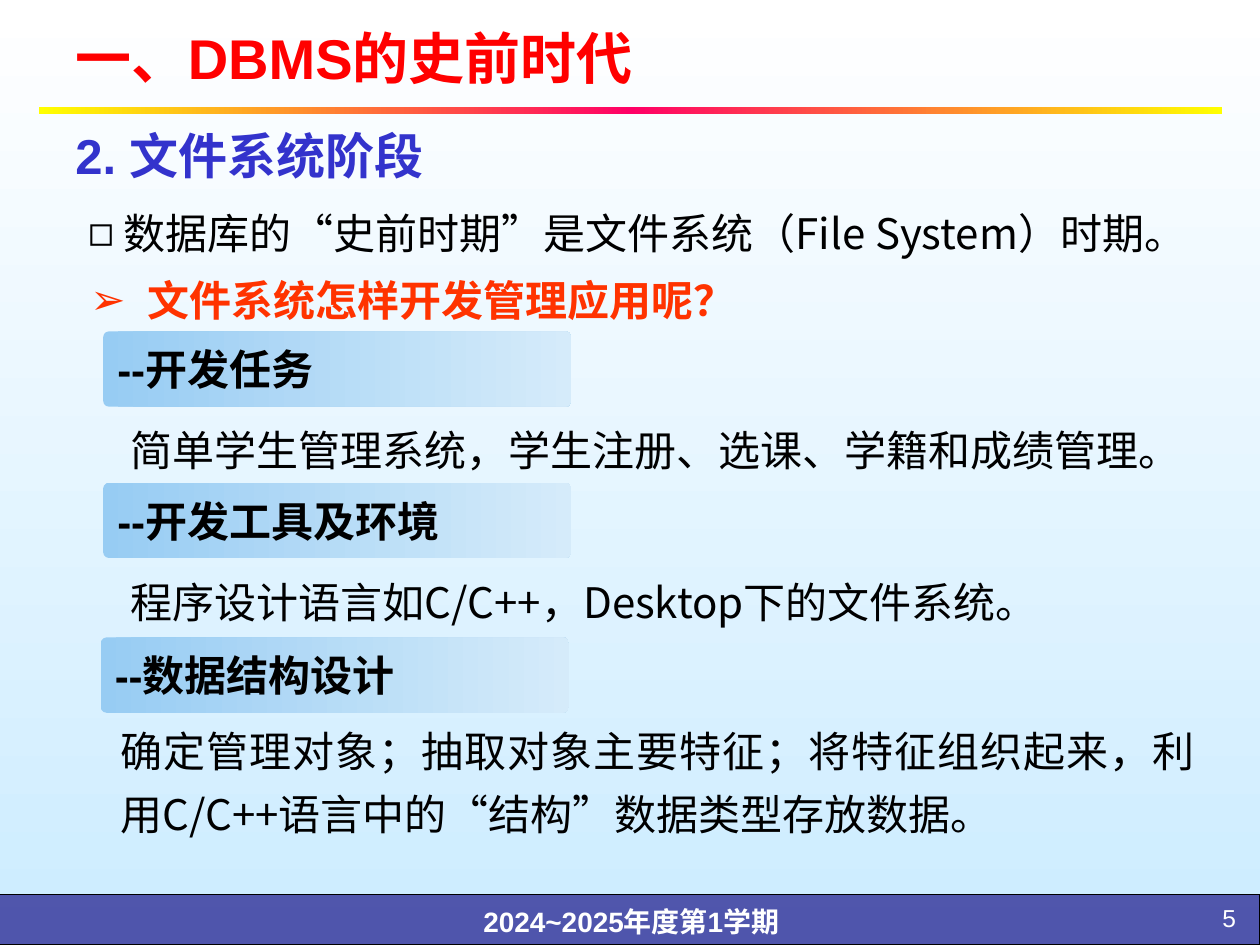
from copy import deepcopy

from lxml.etree import SubElement
from pptx import Presentation
from pptx.dml.color import RGBColor
from pptx.enum.shapes import MSO_SHAPE
from pptx.enum.text import MSO_ANCHOR, MSO_AUTO_SIZE, PP_ALIGN
from pptx.oxml.ns import qn
from pptx.util import Cm, Pt

BLACK = RGBColor(0x00, 0x00, 0x00)
WHITE = RGBColor(0xFF, 0xFF, 0xFF)
RED = RGBColor(0xFF, 0x00, 0x00)
ORANGE = RGBColor(0xFF, 0x33, 0x00)
BLUE = RGBColor(0x33, 0x33, 0xCC)
NAVY = RGBColor(0x33, 0x33, 0x99)
PALE_BLUE = RGBColor(0xCC, 0xEC, 0xFF)
LABEL_BLUE = RGBColor(0x97, 0xCC, 0xF3)
LABEL_PALE = RGBColor(0xD5, 0xEB, 0xFA)
YELLOW = RGBColor(0xFF, 0xFF, 0x00)
PINK = RGBColor(0xFF, 0x00, 0x66)

LATIN = "Arial"
CJK = "Noto Sans CJK SC"


def apply_gradient(fill, colors, angle=0):
    """Spread the colours evenly; the angle runs counter-clockwise."""
    fill.gradient()
    fill.gradient_angle = angle
    stop_list = fill._fill._gradFill.find(qn("a:gsLst"))
    for _ in colors[2:]:
        stop_list.append(deepcopy(stop_list[0]))
    for index, (stop, color) in enumerate(zip(fill.gradient_stops, colors)):
        stop.position = index / (len(colors) - 1)
        stop.color.rgb = color


class SlideBuilder:
    def __init__(self, slide):
        self.slide = slide
        self.shapes = slide.shapes

    def place(self, shape, left, top, width, height):
        shape.left, shape.top = Cm(left), Cm(top)
        shape.width, shape.height = Cm(width), Cm(height)

    def frame(self, shape, anchor):
        frame = shape.text_frame
        frame.word_wrap = True
        frame.auto_size = MSO_AUTO_SIZE.NONE
        frame.vertical_anchor = anchor
        return frame

    def styled_run(self, paragraph, text, size, color, font=LATIN, bold=False,
                   align=PP_ALIGN.LEFT, spacing=1.0):
        paragraph.alignment = align
        paragraph.line_spacing = spacing
        paragraph.space_before = Pt(0)
        run = paragraph.add_run()
        run.text = text
        run.font.size = Pt(size)
        run.font.bold = bold
        run.font.color.rgb = color
        run.font.name = font
        SubElement(run._r.get_or_add_rPr(), qn("a:ea"), typeface=CJK)

    def text(self, box, text, size, color, anchor=MSO_ANCHOR.TOP, **style):
        shape = self.shapes.add_textbox(*map(Cm, box))
        frame = self.frame(shape, anchor)
        self.styled_run(frame.paragraphs[0], text, size, color, **style)

    def title(self, box, text, size, color):
        title = self.shapes.title
        self.place(title, *box)
        frame = self.frame(title, MSO_ANCHOR.MIDDLE)
        self.styled_run(frame.paragraphs[0], text, size, color, bold=True)

    def bullets(self, box, items):
        """Each item is text, bullet, margin, hanging indent, colour and bold."""
        body = self.slide.placeholders[1]
        self.place(body, *box)
        frame = self.frame(body, MSO_ANCHOR.TOP)
        for index, (text, mark, margin, hanging, color, bold) in enumerate(items):
            paragraph = frame.add_paragraph() if index else frame.paragraphs[0]
            properties = paragraph._p.get_or_add_pPr()
            properties.set("marL", str(Cm(margin)))
            properties.set("indent", str(-Cm(hanging)))
            SubElement(properties, qn("a:buChar"), char=mark)
            self.styled_run(paragraph, text, 24, color, CJK, bold,
                            PP_ALIGN.JUSTIFY, 1.25)
            if index:
                paragraph.space_before = Pt(2)

    def panel(self, box, kind=MSO_SHAPE.RECTANGLE):
        shape = self.shapes.add_shape(kind, *map(Cm, box))
        shape.shadow.inherit = False
        shape.line.fill.background()
        return shape

    def gradient_rule(self, box, colors):
        apply_gradient(self.panel(box).fill, colors)

    def footer_bar(self, box):
        bar = self.panel(box)
        bar.fill.solid()
        bar.fill.fore_color.rgb = NAVY
        color = bar._element.spPr.find(qn("a:solidFill"))[0]
        SubElement(color, qn("a:alpha"), val="81000")
        bar.line.color.rgb = BLACK
        bar.line.width = Pt(0.75)

    def label(self, box, text):
        label = self.panel(box, MSO_SHAPE.ROUNDED_RECTANGLE)
        label.adjustments[0] = 0.08
        apply_gradient(label.fill, [LABEL_BLUE, LABEL_PALE])
        frame = self.frame(label, MSO_ANCHOR.MIDDLE)
        self.styled_run(frame.paragraphs[0], text, 24, BLACK, bold=True)


def main():
    deck = Presentation()
    deck.slide_width, deck.slide_height = Cm(25.4), Cm(19.05)
    slide = deck.slides.add_slide(deck.slide_layouts[1])
    apply_gradient(slide.background.fill, [WHITE, PALE_BLUE], 270)
    page = SlideBuilder(slide)

    page.footer_bar((-0.03, 18.03, 25.43, 1.02))
    page.text((6.83, 17.98, 11.79, 1.07), "2024~2025年度第1学期", 16, WHITE,
              bold=True, align=PP_ALIGN.CENTER, spacing=1.2)
    page.text((22.71, 18.08, 2.46, 0.76), "5", 14, WHITE, align=PP_ALIGN.RIGHT)
    page.gradient_rule((0.79, 2.16, 23.85, 0.15), [YELLOW, PINK, YELLOW])

    page.title((1.27, 0.18, 22.86, 1.93), "一、DBMS的史前时代", 32, RED)
    page.text((1.27, 2.16, 22.86, 1.93), "2. 文件系统阶段", 28, BLUE,
              MSO_ANCHOR.MIDDLE, bold=True)
    page.bullets((1.52, 3.81, 22.66, 2.84), [
        ("数据库的“史前时期”是文件系统（File System）时期。",
         "◻", 0.72, 0.72, BLACK, False),
        ("文件系统怎样开发管理应用呢？", "➢", 1.2, 1.15, ORANGE, True),
    ])

    topics = [
        (2.08, 6.68, "--开发任务", 2.39, 8.18,
         "简单学生管理系统，学生注册、选课、学籍和成绩管理。"),
        (2.08, 9.73, "--开发工具及环境", 2.39, 11.25,
         "程序设计语言如C/C++，Desktop下的文件系统。"),
        (2.03, 12.85, "--数据结构设计", 2.18, 14.25,
         "确定管理对象；抽取对象主要特征；将特征组织起来，"
         "利用C/C++语言中的“结构”数据类型存放数据。"),
    ]
    for label_left, label_top, heading, left, top, detail in topics:
        page.label((label_left, label_top, 9.44, 1.52), heading)
        page.text((left, top, 22.16, 1.5), detail, 24, BLACK, font=CJK,
                  align=PP_ALIGN.JUSTIFY, spacing=1.25)

    deck.save("out.pptx")


if __name__ == "__main__":
    main()
